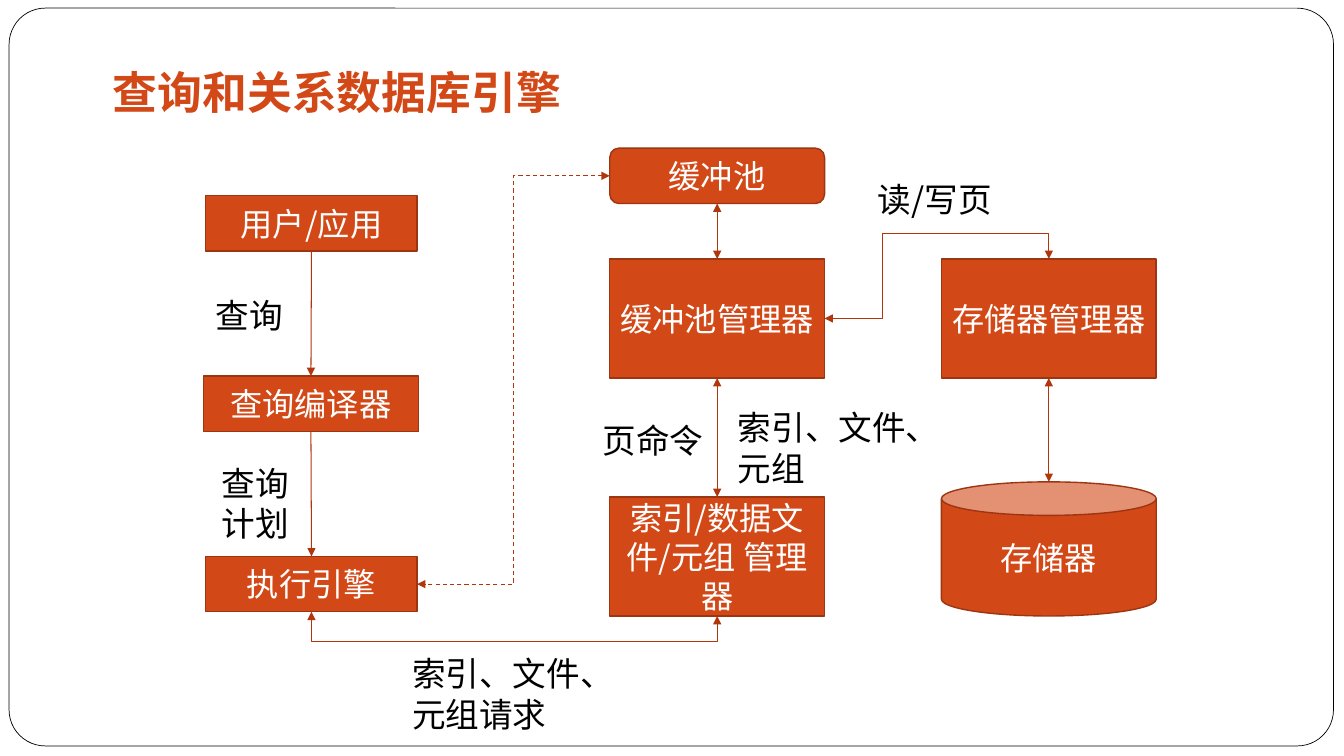
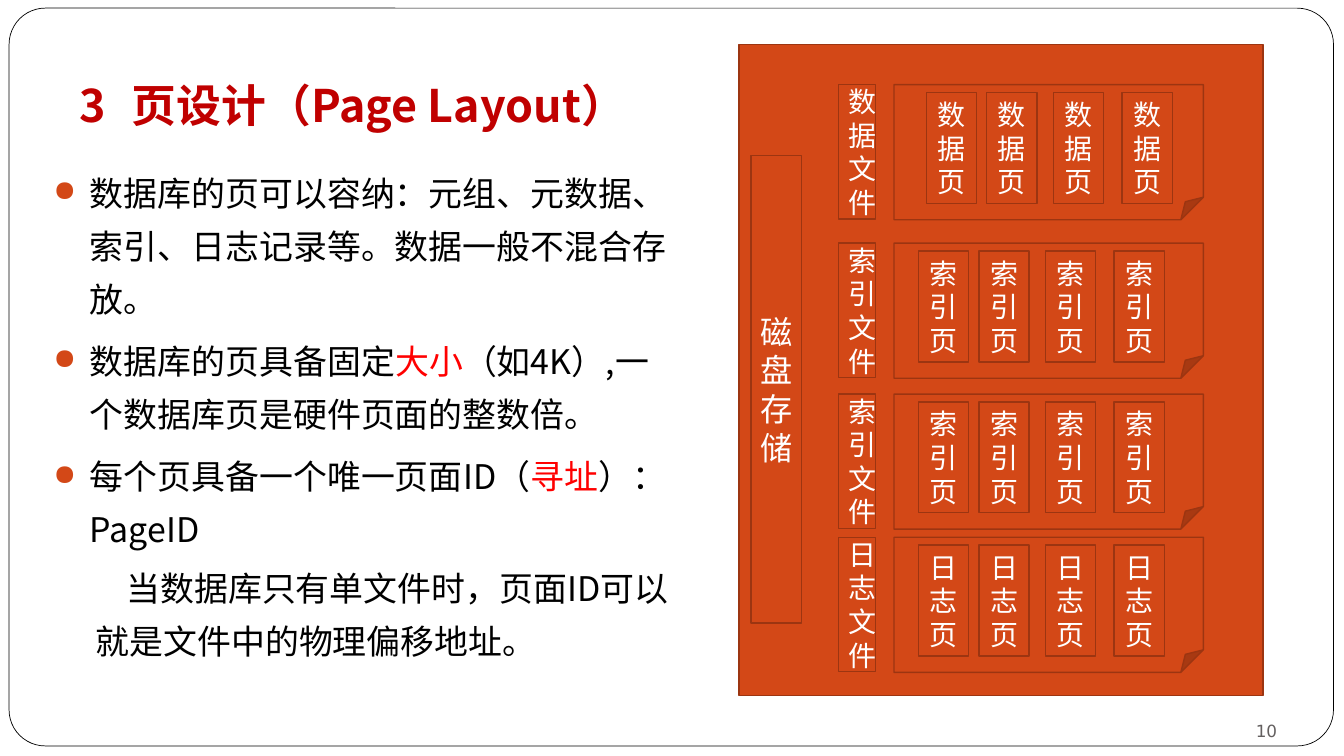
from dataclasses import dataclass
from typing import Optional

from lxml import etree
from pptx import Presentation
from pptx.dml import color
from pptx.enum import dml, shapes, text
from pptx.oxml import ns
from pptx.util import Pt

FONT = "Noto Sans CJK SC"
ORANGE, EDGE, ARROW = "D34817", "9C3511", "B1360B"
CRIMSON, RED, BLACK, WHITE, GREY = "C00000", "FF0000", "000000", "FFFFFF", "646060"
BODY_INSETS = (8.64, 4.32, 8.64, 4.32)
TITLE_INSETS = (8.64, 4.32, 8.64, 8.64)
DEFAULT_INSETS = (7.2, 3.6, 7.2, 3.6)
TOP, LEFT, BOTTOM, RIGHT = range(4)
SHAPE = shapes.MSO_SHAPE
ALIGN = text.PP_ALIGN
ANCHOR = text.MSO_ANCHOR


@dataclass(frozen=True)
class Area:
    left: float
    top: float
    width: float
    height: float

    def lengths(self) -> tuple:
        return Pt(self.left), Pt(self.top), Pt(self.width), Pt(self.height)


@dataclass(frozen=True)
class Box:
    name: str
    caption: str
    area: Area
    kind: int = SHAPE.RECTANGLE


@dataclass(frozen=True)
class Link:
    start: str
    start_site: int
    end: str
    end_site: int
    two_way: bool = True
    bends: Optional[tuple] = None
    dashed: bool = False


@dataclass(frozen=True)
class Label:
    caption: str
    area: Area


@dataclass(frozen=True)
class FileRow:
    top: float
    kind: str
    first_page: float = 656


def rgb(value: str) -> color.RGBColor:
    return color.RGBColor.from_string(value)


def add_xml(parent, tag: str, **attributes: str):
    element = etree.SubElement(parent, ns.qn(tag))
    for name, value in attributes.items():
        element.set(name, value)
    return element


def write(paragraph, content: str, *, size: float, ink: str = BLACK,
          bold: bool = False, font: str = FONT) -> None:
    run = paragraph.add_run()
    run.text = content
    run.font.size = Pt(size)
    run.font.bold = bold
    run.font.name = font
    run.font.color.rgb = rgb(ink)
    add_xml(run.font._element, "a:ea", typeface=font)


def set_frame(shape, insets: tuple, anchor):
    frame = shape.text_frame
    frame.auto_size = text.MSO_AUTO_SIZE.NONE
    frame.word_wrap = True
    frame.vertical_anchor = anchor
    (frame.margin_left, frame.margin_top,
     frame.margin_right, frame.margin_bottom) = map(Pt, insets)
    return frame


def add_text_area(slide, area: Area, insets: tuple = DEFAULT_INSETS, anchor=ANCHOR.TOP):
    return set_frame(slide.shapes.add_textbox(*area.lengths()), insets, anchor)


def add_shape(slide, area: Area, caption: str = "", *, kind=SHAPE.RECTANGLE,
              size: float = 23, fill: str = ORANGE, edge: str = EDGE, weight: float = 1):
    shape = slide.shapes.add_shape(kind, *area.lengths())
    shape.shadow.inherit = False
    shape.fill.solid()
    shape.fill.fore_color.rgb = rgb(fill)
    shape.line.color.rgb = rgb(edge)
    shape.line.width = Pt(weight)
    if caption:
        paragraph = set_frame(shape, DEFAULT_INSETS, ANCHOR.MIDDLE).paragraphs[0]
        paragraph.alignment = ALIGN.CENTER
        write(paragraph, caption, size=size, ink=WHITE)
    return shape


def add_link(slide, link: Link, boxes: dict):
    start, end = boxes[link.start], boxes[link.end]
    elbow = link.bends is not None
    kind = shapes.MSO_CONNECTOR.ELBOW if elbow else shapes.MSO_CONNECTOR.STRAIGHT
    connector = slide.shapes.add_connector(kind, 0, 0, 0, 0)
    connector.begin_connect(start, link.start_site)
    connector.end_connect(end, link.end_site)
    if end.auto_shape_type == SHAPE.CAN:
        connector._element.nvCxnSpPr.cNvCxnSpPr.endCxn.idx = 1
    connector.line.color.rgb = rgb(ARROW)
    connector.line.width = Pt(0.75)
    if link.dashed:
        connector.line.dash_style = dml.MSO_LINE.DASH
    line = connector.line._get_or_add_ln()
    if link.two_way:
        add_xml(line, "a:headEnd", type="triangle")
    add_xml(line, "a:tailEnd", type="triangle")
    properties = connector._element.spPr
    add_xml(properties, "a:effectLst")
    if link.bends:
        geometry = properties.find(ns.qn("a:prstGeom"))
        geometry.set("prst", f"bentConnector{len(link.bends) + 2}")
        guides = geometry.find(ns.qn("a:avLst"))
        for number, bend in enumerate(link.bends, 1):
            add_xml(guides, "a:gd", name=f"adj{number}", fmla=f"val {round(bend * 100000)}")


def add_title_slide(presentation, area: Area):
    slide = presentation.slides.add_slide(presentation.slide_layouts[5])
    title = slide.shapes.title
    title.left, title.top, title.width, title.height = area.lengths()
    paragraph = set_frame(title, TITLE_INSETS, ANCHOR.BOTTOM).paragraphs[0]
    paragraph.alignment = ALIGN.LEFT
    return slide, paragraph


def add_border_to_layout(slide) -> None:
    border = add_shape(slide, Area(6.5, 5.8, 946, 527), kind=SHAPE.ROUNDED_RECTANGLE,
                       fill=WHITE, edge=BLACK, weight=0.5)
    border.adjustments[0] = 0.049
    border._element.nvSpPr.cNvPr.set("id", "90")
    slide.slide_layout.shapes._spTree.insert(2, border._element)


ENGINE_BOXES = (
    Box("engine", "执行引擎", Area(147, 397.4, 151, 39.6)),
    Box("files", "索引/数据文件/元组 管理器", Area(435.6, 355, 153.4, 85)),
    Box("compiler", "查询编译器", Area(145.4, 268.6, 153.4, 39.6)),
    Box("buffers", "缓冲池管理器", Area(435.6, 185, 153.4, 85)),
    Box("user", "用户/应用", Area(147, 139.7, 151, 39.6)),
    Box("storage", "存储器管理器", Area(672.5, 185, 153.4, 85)),
    Box("disk", "存储器", Area(672.5, 344.2, 153.4, 95.8), SHAPE.CAN),
    Box("pool", "缓冲池", Area(435.6, 105.8, 153.4, 39.6), SHAPE.ROUNDED_RECTANGLE),
)
ENGINE_LINKS = (
    Link("user", BOTTOM, "compiler", TOP, two_way=False),
    Link("compiler", BOTTOM, "engine", TOP, two_way=False),
    Link("engine", BOTTOM, "files", BOTTOM, bends=(0, 7)),
    Link("buffers", BOTTOM, "files", TOP),
    Link("buffers", RIGHT, "storage", TOP, bends=(0.26, 1.42)),
    Link("storage", BOTTOM, "disk", TOP),
    Link("buffers", TOP, "pool", BOTTOM),
    Link("pool", LEFT, "engine", RIGHT, bends=(0.5,), dashed=True),
)
ENGINE_LABELS = (
    Label("查询", Area(147, 207.4, 72, 36)),
    Label("查询计划", Area(151.2, 327, 72, 65.5)),
    Label("索引、文件、元组请求", Area(287.3, 463, 164, 65.5)),
    Label("页命令", Area(423.4, 296.6, 96.5, 36)),
    Label("读/写页", Area(620, 124.6, 98, 36)),
    Label("索引、文件、元组", Area(520, 287.3, 164, 65.5)),
)
FILE_ROWS = (
    FileRow(60.5, "数据", 661.7),
    FileRow(173.7, "索引"),
    FileRow(281.5, "索引"),
    FileRow(383.8, "日志"),
)
PAGE_OFFSETS = (0, 43.2, 90.7, 139.7)
BULLETS = (
    (("数据库的页可以容纳：元组、元数据、索引、日志记录等。数据一般不混合存放。", BLACK),),
    (("数据库的页具备固定", BLACK), ("大小", RED),
     ("（如4K）,一个数据库页是硬件页面的整数倍。", BLACK)),
    (("每个页具备一个唯一页面ID（", BLACK), ("寻址", RED), ("）：PageID", BLACK)),
)
DETAIL = (("当数据库只有单文件时，页面ID可以就是文件中的物理偏移地址。", BLACK),)


def build_engine_slide(presentation) -> None:
    slide, title = add_title_slide(presentation, Area(72, 26, 816, 67))
    add_border_to_layout(slide)
    write(title, "查询和关系数据库引擎", size=32, ink=ORANGE, bold=True)
    boxes = {box.name: add_shape(slide, box.area, box.caption, kind=box.kind)
             for box in ENGINE_BOXES}
    for link in ENGINE_LINKS:
        add_link(slide, link, boxes)
    for label in ENGINE_LABELS:
        write(add_text_area(slide, label.area).paragraphs[0], label.caption, size=24)


def add_body_paragraph(paragraph, runs: tuple, *, margin: float, indent: float,
                       before: float, bullet: bool) -> None:
    paragraph.line_spacing = 1.3
    paragraph.space_before = Pt(before)
    properties = paragraph._p.get_or_add_pPr()
    properties.set("marL", str(Pt(margin)))
    properties.set("indent", str(Pt(indent)))
    if bullet:
        add_xml(add_xml(properties, "a:buClr"), "a:srgbClr", val=ORANGE)
        add_xml(properties, "a:buSzPct", val="85000")
        add_xml(properties, "a:buChar", char="●")
    for content, ink in runs:
        write(paragraph, content, size=24.2, ink=ink)


def add_file_row(slide, row: FileRow) -> None:
    add_shape(slide, Area(638.6, row.top, 221, 96.5), kind=SHAPE.FOLDED_CORNER)
    add_shape(slide, Area(599, row.top, 26.4, 96), row.kind + "文件", size=20)
    for offset in PAGE_OFFSETS:
        add_shape(slide, Area(row.first_page + offset, row.top + 5.6, 36, 79.2),
                  row.kind + "页", size=20)


def build_page_slide(presentation) -> None:
    slide, title = add_title_slide(presentation, Area(48, 31.7, 864, 70.6))
    stops = add_xml(title._p.get_or_add_pPr(), "a:tabLst")
    add_xml(stops, "a:tab", pos=str(Pt(37.5)), algn="l")
    write(title, "3\t页设计（Page Layout）", size=32, ink=CRIMSON, bold=True)

    body = add_text_area(slide, Area(29.5, 110.2, 459.4, 419), BODY_INSETS)
    for index, runs in enumerate(BULLETS):
        paragraph = body.add_paragraph() if index else body.paragraphs[0]
        add_body_paragraph(paragraph, runs, margin=26, indent=-26, before=6.9, bullet=True)
    add_body_paragraph(body.add_paragraph(), DETAIL, margin=30.2, indent=22,
                       before=4.4, bullet=False)

    number = add_text_area(slide, Area(832.3, 500.4, 80, 28.8), (0, 0, 0, 0), ANCHOR.BOTTOM)
    number.paragraphs[0].alignment = ALIGN.RIGHT
    write(number.paragraphs[0], "10", size=12, ink=GREY, font="DejaVu Sans")

    add_shape(slide, Area(527.8, 31.7, 374.4, 465))
    add_shape(slide, Area(536.4, 111, 36, 334), "磁盘存储")
    for row in FILE_ROWS:
        add_file_row(slide, row)


def main() -> None:
    presentation = Presentation()
    presentation.slide_width, presentation.slide_height = Pt(960), Pt(540)
    build_engine_slide(presentation)
    build_page_slide(presentation)
    presentation.save("out.pptx")


if __name__ == "__main__":
    main()
